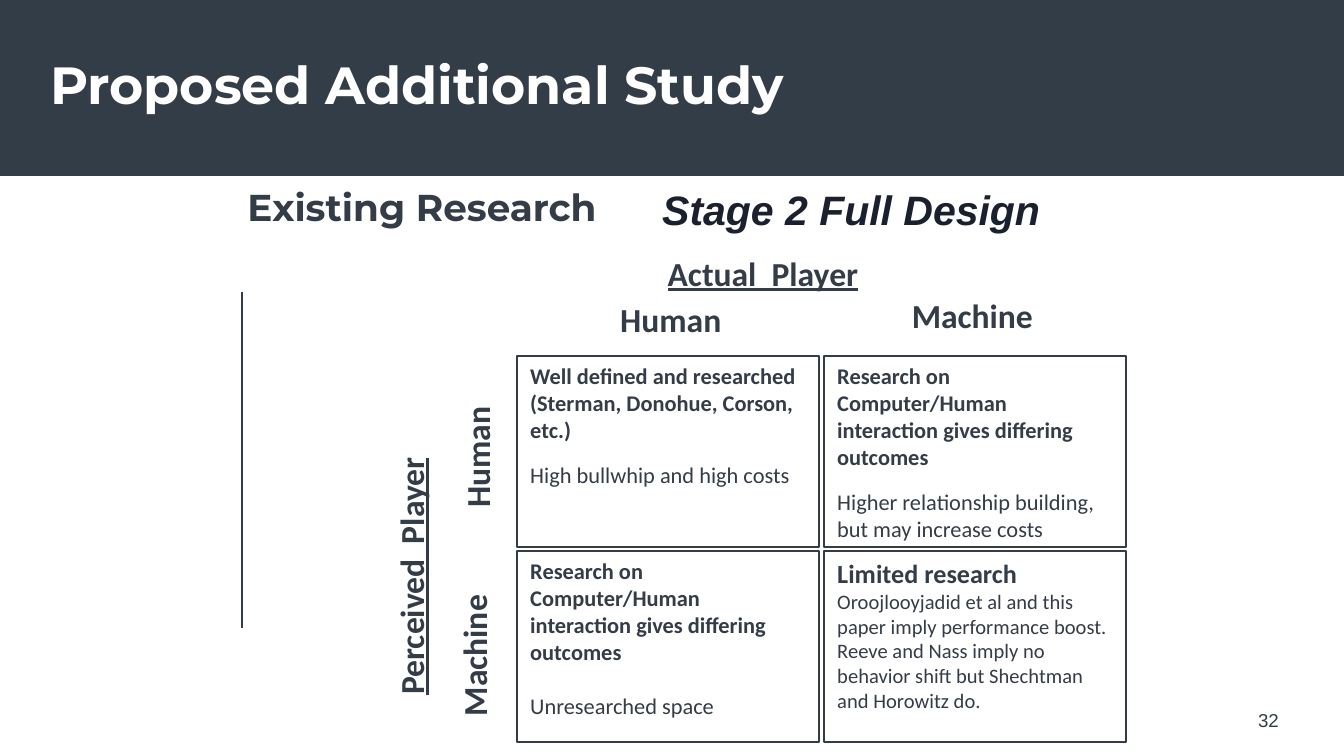
from lxml.etree import SubElement
from pptx import Presentation
from pptx.dml.color import RGBColor
from pptx.enum.shapes import MSO_CONNECTOR, MSO_SHAPE
from pptx.enum.text import MSO_ANCHOR as Anchor, MSO_AUTO_SIZE as AutoSize, PP_ALIGN as Align
from pptx.oxml.ns import qn
from pptx.util import Pt

PX = 9144000 / 1344
INK, BAND, NAVY, WHITE = "333C47", "333D47", "1B202F", "FFFFFF"
LABEL = {"name": "Calibri", "size": Pt(18), "bold": True}
AXIS = {**LABEL, "underline": True}
LEAD = {"name": "Calibri", "size": Pt(12), "bold": True}
DETAIL = {**LEAD, "bold": False}
BIG_LEAD = {**LEAD, "size": Pt(14)}
SMALL_DETAIL = {**DETAIL, "size": Pt(11)}
MIXED = "Research on Computer/Human interaction gives differing outcomes"

# Each cell lists (text, font, points of space before).
CELLS = [
    [
        [("Well defined and researched", LEAD, 0),
         ("(Sterman, Donohue, Corson, etc.)", LEAD, 0),
         ("High bullwhip and high costs", DETAIL, 9.8)],
        [(MIXED, LEAD, 0),
         ("Higher relationship building, but may increase costs", DETAIL, 9.8)],
    ],
    [
        [(MIXED, LEAD, 0),
         ("Unresearched space", DETAIL, 14.6)],
        [("Limited research", BIG_LEAD, 0),
         ("Oroojlooyjadid et al and this paper imply performance boost.", SMALL_DETAIL, 0),
         ("Reeve and Nass imply no behavior shift but Shechtman and Horowitz do.",
          SMALL_DETAIL, 0)],
    ],
]

# Text, centre x, centre y, width, rotation and font, within the matrix box.
LABELS = [
    ("Actual  Player", 396, 27, 251, 0, AXIS),
    ("Human", 294, 73, 142, 0, LABEL),
    ("Machine", 596, 69, 163, 0, LABEL),
    ("Perceived  Player", 27, 308, 308, 270, AXIS),
    ("Human", 93, 204, 142, 270, LABEL),
    ("Machine", 90, 402, 163, 270, LABEL),
]


def px(*lengths):
    return [round(length * PX) for length in lengths]


def color(value):
    return RGBColor.from_string(value)


def write(paragraph, text, font, ink=INK, align=Align.LEFT, space=0, spacing=1.0):
    paragraph.text = text
    paragraph.alignment = align
    paragraph.space_before = Pt(space)
    paragraph.line_spacing = spacing
    for name, value in font.items():
        setattr(paragraph.font, name, value)
    paragraph.font.color.rgb = color(ink)


def place(shape, box):
    shape.left, shape.top, shape.width, shape.height = px(*box)


def add_rectangle(slide, box, fill, line=None):
    shape = slide.shapes.add_shape(MSO_SHAPE.RECTANGLE, *px(*box))
    shape.shadow.inherit = False
    shape.fill.solid()
    shape.fill.fore_color.rgb = color(fill)
    if line:
        shape.line.color.rgb = color(line)
        shape.line.width = Pt(1)
    else:
        shape.line.fill.background()
    return shape


def add_label(slide, text, box, font, rotation=0, **format_values):
    shape = slide.shapes.add_textbox(*px(*box))
    shape.rotation = rotation
    shape.text_frame.word_wrap = False
    shape.text_frame.auto_size = AutoSize.SHAPE_TO_FIT_TEXT
    write(shape.text_frame.paragraphs[0], text, font, **format_values)


def add_header(slide, box):
    left, top, width, height = box
    band = add_rectangle(slide, box, BAND)
    slide.shapes._spTree.insert(2, band._element)
    title = slide.shapes.title
    place(title, (left + 50, top, width - 100, height - 1))
    frame = title.text_frame
    frame.auto_size = AutoSize.NONE
    frame.vertical_anchor = Anchor.MIDDLE
    for side in ("left", "top", "right", "bottom"):
        setattr(frame, f"margin_{side}", 0)
    font = {"name": "Montserrat", "size": Pt(28), "bold": True}
    write(frame.paragraphs[0], "Proposed Additional Study", font, WHITE, spacing=0.9)


def add_subtitles(slide, box):
    left, top, width, height = box
    body = slide.placeholders[1]
    place(body, box)
    body.text_frame.auto_size = AutoSize.NONE
    paragraph = body.text_frame.paragraphs[0]
    properties = paragraph._p.get_or_add_pPr()
    properties.set("marL", "0")
    properties.set("indent", "0")
    SubElement(properties, qn("a:buNone"))
    font = {"name": "Montserrat", "size": Pt(20), "bold": True}
    write(paragraph, "Existing Research", font, spacing=0.9)
    font = {"name": "Arial", "size": Pt(22), "bold": True, "italic": True}
    add_label(slide, "Stage 2 Full Design", (left + 415, top - 15, 410, 67), font,
              ink=NAVY, spacing=1.2)


def add_side_rule(slide, box):
    left, top, width, height = box
    rule = slide.shapes.add_connector(
        MSO_CONNECTOR.STRAIGHT, *px(left, top, left + width, top + height))
    rule.line.color.rgb = color(INK)
    rule.line.width = Pt(1.5)
    SubElement(rule._element.spPr, qn("a:effectLst"))


def add_cell(slide, box, lines):
    frame = add_rectangle(slide, box, WHITE, INK).text_frame
    frame.word_wrap = True
    frame.vertical_anchor = Anchor.TOP
    for index, (text, font, space) in enumerate(lines):
        paragraph = frame.add_paragraph() if index else frame.paragraphs[0]
        write(paragraph, text, font, space=space)


def add_matrix(slide, box):
    left, top, width, height = box
    grid_left, grid_top, gap_x, gap_y = left + 133, top + 110, 5, 4
    cell_width = (left + width - grid_left - gap_x) // 2
    cell_height = (top + height - grid_top - gap_y) // 2
    for row, cells in enumerate(CELLS):
        for column, lines in enumerate(cells):
            add_cell(slide, (grid_left + column * (cell_width + gap_x),
                             grid_top + row * (cell_height + gap_y),
                             cell_width, cell_height), lines)
    for text, center_x, center_y, length, rotation, font in LABELS:
        label_box = (left + center_x - length / 2, top + center_y - 27, length, 54)
        add_label(slide, text, label_box, font, rotation)


def add_page_number(slide, box):
    frame = slide.shapes.add_textbox(*px(*box)).text_frame
    frame.word_wrap = True
    frame.vertical_anchor = Anchor.MIDDLE
    write(frame.paragraphs[0], "32", {"name": "Arial", "size": Pt(10)}, align=Align.RIGHT)


def main():
    presentation = Presentation()
    presentation.slide_width, presentation.slide_height = px(1344, 756)
    slide = presentation.slides.add_slide(presentation.slide_layouts[1])
    add_header(slide, (0, 0, 1344, 176))
    add_side_rule(slide, (242, 292, 0, 336))
    add_page_number(slide, (949, 700, 343, 40))
    add_subtitles(slide, (234, 183, 1070, 54))
    add_matrix(slide, (384, 246, 742, 496))
    presentation.save("out.pptx")


if __name__ == "__main__":
    main()
